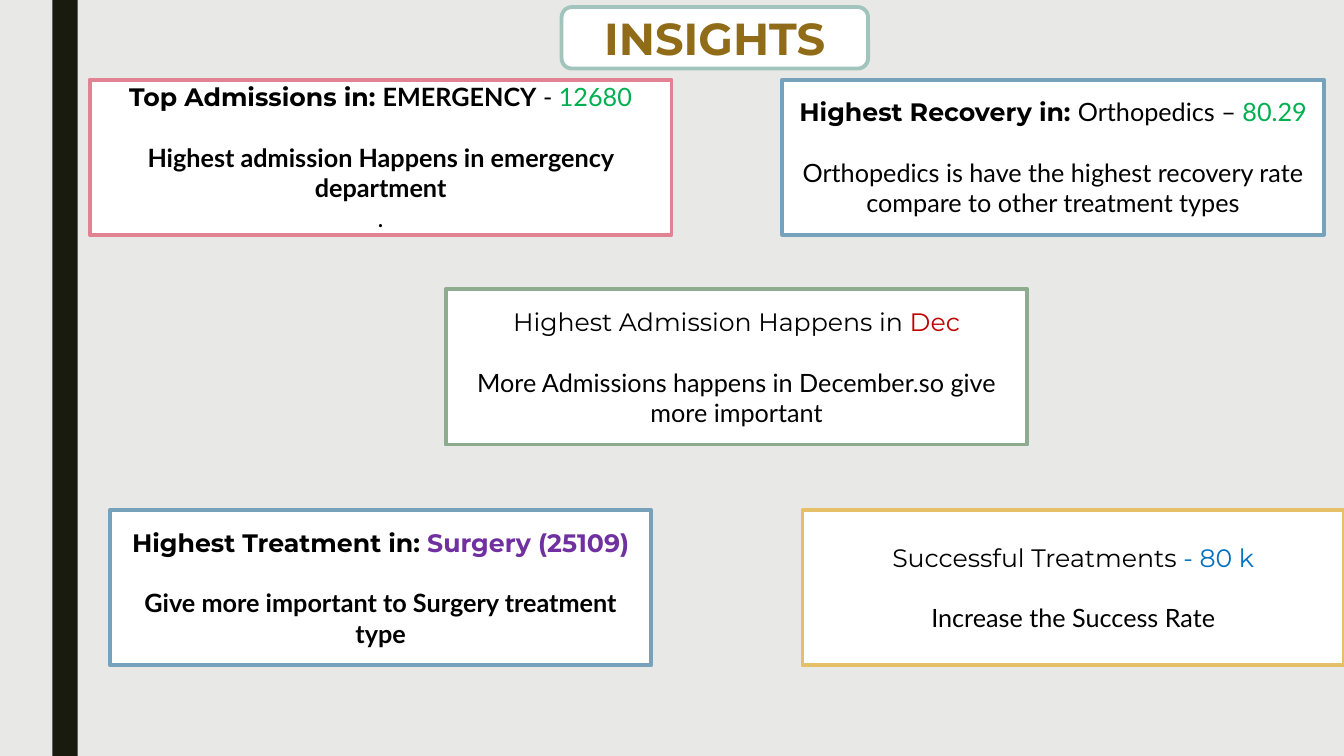
from dataclasses import dataclass

from pptx import Presentation
from pptx import util as u
from pptx.dml import color
from pptx.enum import shapes, text

COLORS = {
    "background": "E8E8E7", "bar": "191B0E", "white": "FFFFFF", "black": "000000",
    "gold": "906B18", "mint": "A1C5BD", "pink": "E28394", "blue": "77A2BB",
    "sage": "8DAB8E", "yellow": "E6C069", "green": "00B050", "red": "C00000",
    "azure": "0070C0", "purple": "7030A0",
}
HEADING_FONT, BODY_FONT = "Montserrat", "Lato"
WIDE, NARROW, CARD_HEIGHT = 5.77, 5.37, 1.54
TOP_ROW, MIDDLE_ROW, BOTTOM_ROW = 0.79, 2.87, 5.06
BLANK_LINE = u.Pt(21.6)


@dataclass(frozen=True)
class Span:
    text: str
    font: str = BODY_FONT
    color: str = "black"
    bold: bool = False


@dataclass(frozen=True)
class Card:
    left: float
    top: float
    width: float
    border: str
    headline: list[Span]
    details: list[Span]


CARDS = [
    Card(0.89, TOP_ROW, WIDE, "pink",
         [Span("Top Admissions in: ", HEADING_FONT, bold=True), Span("EMERGENCY", bold=True),
          Span(" - "), Span("12680", color="green")],
         [Span("Highest admission Happens in emergency department", bold=True), Span(".")]),
    Card(7.76, TOP_ROW, NARROW, "blue",
         [Span("Highest Recovery in: ", HEADING_FONT, bold=True), Span("Orthopedics –"),
          Span(" 80.29", color="green")],
         [Span("Orthopedics is have the highest recovery rate compare to other treatment types")]),
    Card(4.42, MIDDLE_ROW, WIDE, "sage",
         [Span("Highest Admission Happens in ", HEADING_FONT), Span("Dec", HEADING_FONT, "red")],
         [Span("More Admissions happens in December.so give more important")]),
    Card(7.96, BOTTOM_ROW, NARROW, "yellow",
         [Span("Successful Treatments ", HEADING_FONT), Span("- 80 k", HEADING_FONT, "azure")],
         [Span("Increase the Success Rate")]),
    Card(1.09, BOTTOM_ROW, NARROW, "blue",
         [Span("Highest Treatment in: ", HEADING_FONT, bold=True),
          Span("Surgery (25109)", HEADING_FONT, "purple", True)],
         [Span("Give more important to Surgery treatment type", bold=True)]),
]


def rgb(name: str) -> color.RGBColor:
    return color.RGBColor.from_string(COLORS[name])


def add_panel(slide, kind, left: float, top: float, width: float, height: float,
              fill: str, border: str | None = None):
    panel = slide.shapes.add_shape(kind, u.Inches(left), u.Inches(top),
                                   u.Inches(width), u.Inches(height))
    panel.shadow.inherit = False
    panel.fill.solid()
    panel.fill.fore_color.rgb = rgb(fill)
    if border:
        panel.line.color.rgb = rgb(border)
        panel.line.width = u.Pt(2.75)
    else:
        panel.line.fill.background()
    return panel


def write_spans(paragraph, spans: list[Span], size: float) -> None:
    paragraph.alignment = text.PP_ALIGN.CENTER
    for span in spans:
        run = paragraph.add_run()
        run.text = span.text
        run.font.name = span.font
        run.font.size = u.Pt(size)
        run.font.bold = span.bold
        run.font.color.rgb = rgb(span.color)


def add_card(slide, card: Card) -> None:
    panel = add_panel(slide, shapes.MSO_SHAPE.RECTANGLE, card.left, card.top,
                      card.width, CARD_HEIGHT, "white", card.border)
    frame = panel.text_frame
    frame.word_wrap = True
    frame.vertical_anchor = text.MSO_ANCHOR.MIDDLE
    write_spans(frame.paragraphs[0], card.headline, 18)
    for index, detail in enumerate(card.details):
        paragraph = frame.add_paragraph()
        if index == 0:
            paragraph.space_before = BLANK_LINE
        write_spans(paragraph, [detail], 18)


def add_title(slide) -> None:
    """Place the title placeholder in front of its rounded panel."""
    panel = add_panel(slide, shapes.MSO_SHAPE.ROUNDED_RECTANGLE, 5.57, 0.07, 3.04, 0.61,
                      "white", "mint")
    title = slide.shapes.title
    title.left, title.top = panel.left, panel.top
    title.width, title.height = panel.width, panel.height
    panel._element.addnext(title._element)
    frame = title.text_frame
    frame.auto_size = text.MSO_AUTO_SIZE.NONE
    frame.vertical_anchor = text.MSO_ANCHOR.MIDDLE
    frame.margin_top = frame.margin_bottom = 0
    write_spans(frame.paragraphs[0], [Span("INSIGHTS", HEADING_FONT, "gold", True)], 32)


def main() -> None:
    presentation = Presentation()
    presentation.slide_width = u.Inches(13.33)
    presentation.slide_height = u.Inches(7.5)
    slide = presentation.slides.add_slide(presentation.slide_layouts.get_by_name("Title Only"))
    slide.background.fill.solid()
    slide.background.fill.fore_color.rgb = rgb("background")
    add_panel(slide, shapes.MSO_SHAPE.RECTANGLE, 0.52, 0, 0.25, 7.5, "bar")
    for card in CARDS:
        add_card(slide, card)
    add_title(slide)
    presentation.save("out.pptx")


if __name__ == "__main__":
    main()
